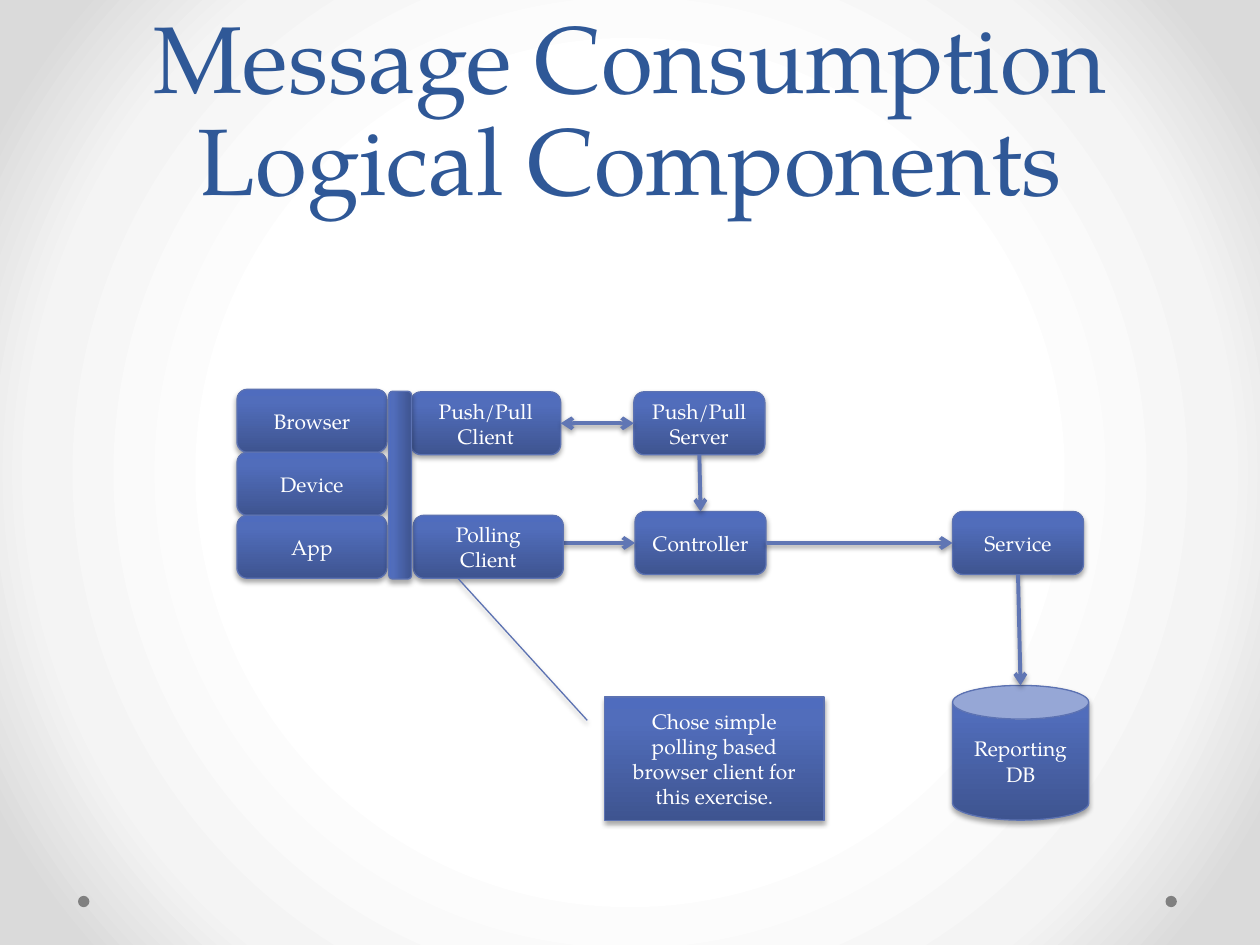
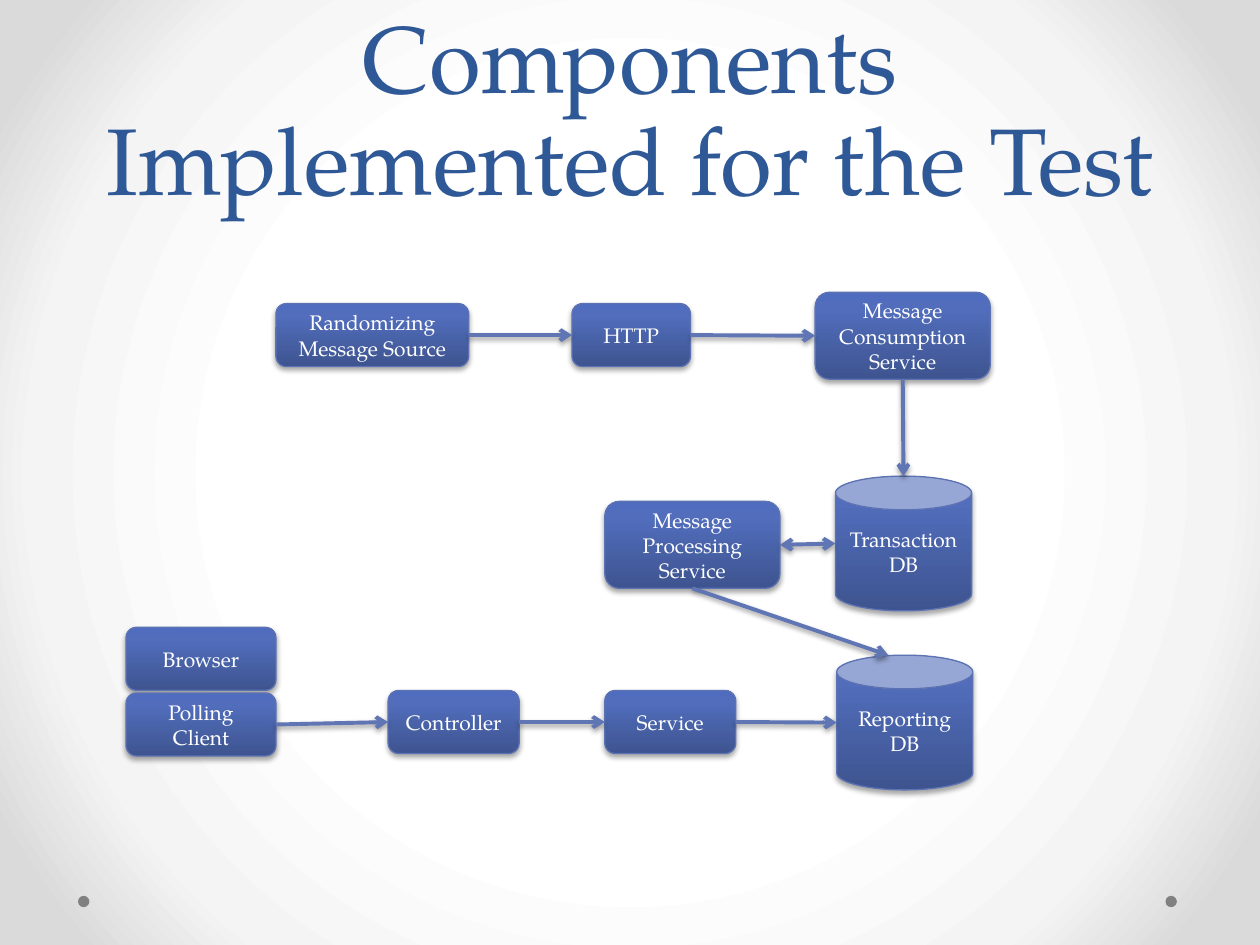
from pptx import Presentation
from pptx.dml.color import RGBColor
from pptx.enum import shapes as sh, text as tx
from pptx.oxml import parse_xml
from pptx.oxml.ns import nsdecls, qn
from pptx.util import Pt

FONT = "TeX Gyre Pagella"
NAVY = RGBColor(0x2F, 0x58, 0x97)
EDGE = RGBColor(0x5C, 0x72, 0xB2)
ARROW = RGBColor(0x60, 0x76, 0xB4)
GREY = RGBColor(0x80, 0x80, 0x80)
WHITE = RGBColor(0xFF, 0xFF, 0xFF)
BLACK = RGBColor(0, 0, 0)
BACK = [(50, WHITE), (76, RGBColor(0xF4, 0xF4, 0xF4)),
        (92, RGBColor(0xDA, 0xDA, 0xDA))]
BODY = [(0, RGBColor(0x3E, 0x54, 0x90)), (80, RGBColor(0x51, 0x6D, 0xBB)),
        (100, RGBColor(0x4F, 0x6C, 0xBE))]
UP = '<a:lin ang="16200000" scaled="0"/>'
ROUND = ('<a:path path="circle"><a:fillToRect l="50000" t="50000" '
         'r="50000" b="50000"/></a:path>')

KIND = sh.MSO_SHAPE
NODE = 74.9, 36
CLIENT = 85.7, 36
DRUM = 77.8, 77
JOB = 100.1, 49.7


def blend(props, stops, way):
    """Swap the solid fill in props for a gradient."""
    marks = "".join(f'<a:gs pos="{pos * 1000}"><a:srgbClr val="{color}"/></a:gs>'
                    for pos, color in stops)
    grad = parse_xml(f'<a:gradFill {nsdecls("a")} rotWithShape="1">'
                     f'<a:gsLst>{marks}</a:gsLst>{way}</a:gradFill>')
    props.replace(props.find(qn("a:solidFill")), grad)


def shade(props, alpha, drop):
    props.append(parse_xml(
        f'<a:effectLst {nsdecls("a")}><a:outerShdw blurRad="{Pt(3.1)}" '
        f'dist="{Pt(drop)}" dir="5400000" rotWithShape="0">'
        f'<a:srgbClr val="{BLACK}"><a:alpha val="{alpha * 1000}"/></a:srgbClr>'
        '</a:outerShdw></a:effectLst>'))


def write(frame, words, size=12, color=WHITE, anchor=tx.MSO_ANCHOR.MIDDLE,
          pitch=None):
    frame.word_wrap = True
    frame.auto_size = tx.MSO_AUTO_SIZE.NONE
    frame.vertical_anchor = anchor
    para = frame.paragraphs[0]
    para.alignment = tx.PP_ALIGN.CENTER
    para.line_spacing = pitch
    run = para.add_run()
    run.text = words
    run.font.name, run.font.size = FONT, Pt(size)
    run.font.color.rgb = color


def block(slide, origin, at, size, words="", kind=KIND.ROUNDED_RECTANGLE):
    """Add a shaded box at an offset from the origin."""
    left, top = (Pt(o + a) for o, a in zip(origin, at))
    box = slide.shapes.add_shape(kind, left, top, *map(Pt, size))
    box.fill.solid()
    box.line.color.rgb, box.line.width = EDGE, Pt(0.75)
    props = box.element.spPr
    blend(props, BODY, UP)
    shade(props, 35, 1.8)
    if words:
        write(box.text_frame, words)
    return box


def side(box, name):
    """Give the middle point of one side of a box."""
    dx, dy = {"top": (0.5, 0), "left": (0, 0.5),
              "bottom": (0.5, 1), "right": (1, 0.5)}[name]
    return int(box.left + dx * box.width), int(box.top + dy * box.height)


def link(slide, start, end, both=False):
    line = slide.shapes.add_connector(sh.MSO_CONNECTOR.STRAIGHT, *start, *end)
    line.line.color.rgb, line.line.width = ARROW, Pt(2.25)
    props = line.element.spPr
    for tip in ["headEnd"] * both + ["tailEnd"]:
        props.find(qn("a:ln")).append(
            parse_xml(f'<a:{tip} {nsdecls("a")} type="arrow"/>'))
    shade(props, 38, 1.6)


def across(slide, *boxes):
    """Link each box to the next one on its right."""
    for one, two in zip(boxes, boxes[1:]):
        link(slide, side(one, "right"), side(two, "left"))


def down(slide, one, two):
    link(slide, side(one, "bottom"), side(two, "top"))


def theme(deck, slide):
    """Give the master its background and the two dots at the foot."""
    master = deck.slide_master
    master.background.fill.solid()
    blend(next(master.element.iter(qn("p:bgPr"))), BACK, ROUND)
    for left in (44.6, 666):
        dot = slide.shapes.add_shape(KIND.OVAL, Pt(left), Pt(511.9), Pt(6.5), Pt(6.5))
        dot.shadow.inherit = False
        dot.fill.solid()
        dot.fill.fore_color.rgb = GREY
        dot.line.fill.background()
        master.shapes.element.append(dot.element)


def page(deck, words):
    slide = deck.slides.add_slide(deck.slide_layouts[5])
    head = slide.shapes.title
    head.left, head.top, head.width, head.height = map(Pt, (36, 0, 648, 126))
    write(head.text_frame, words, size=54, color=NAVY,
          anchor=tx.MSO_ANCHOR.BOTTOM, pitch=Pt(58))
    return slide


def logic(slide, origin):
    """Draw the logical components of message consumption."""
    push = block(slide, origin, (99.3, 1.4), CLIENT, "Push/Pull Client")
    server = block(slide, origin, (226.8, 1.4), NODE, "Push/Pull Server")
    control = block(slide, origin, (227.5, 69.8), NODE, "Controller")
    service = block(slide, origin, (408.9, 69.8), NODE, "Service")
    store = block(slide, origin, (408.9, 169.2), DRUM, "Reporting DB", KIND.CAN)
    end = side(control, "left")
    link(slide, (end[0] - Pt(62.6), end[1]), end)
    across(slide, control, service)
    link(slide, side(server, "left"), side(push, "right"), both=True)
    for row, name in enumerate(("Browser", "Device", "App")):
        block(slide, origin, (0, row * CLIENT[1]), CLIENT, name)
    block(slide, origin, (100.8, 72), CLIENT, "Polling Client")
    down(slide, server, control)
    bar = block(slide, origin, (39.6, 48.2), (107.3, 13))
    bar.rotation = 270
    note = block(slide, origin, (210.2, 175.7), (125.3, 70.6),
                 "Chose simple polling based browser client for this exercise.",
                 KIND.LINE_CALLOUT_1)
    for i, ratio in enumerate((0.19, -0.08, -0.96, -0.67)):
        note.adjustments[i] = ratio
    down(slide, service, store)


def built(slide, origin):
    """Draw the components implemented for the test."""
    source = block(slide, origin, (85.7, 6.5), (110.2, 36), "Randomizing Message Source")
    http = block(slide, origin, (254.9, 6.5), (67.7, 36), "HTTP")
    consume = block(slide, origin, (393.8, 0), JOB, "Message Consumption Service")
    trade = block(slide, origin, (405.4, 105.1), DRUM, "Transaction DB", KIND.CAN)
    process = block(slide, origin, (273.6, 119.5), JOB, "Message Processing Service")
    block(slide, origin, (0, 191.5), CLIENT, "Browser")
    poll = block(slide, origin, (0, 229), CLIENT, "Polling Client")
    control = block(slide, origin, (149.8, 227.6), NODE, "Controller")
    service = block(slide, origin, (273.6, 227.6), NODE, "Service")
    report = block(slide, origin, (406.1, 207.4), DRUM, "Reporting DB", KIND.CAN)
    across(slide, source, http, consume)
    across(slide, poll, control, service, report)
    down(slide, consume, trade)
    link(slide, side(process, "right"), side(trade, "left"), both=True)
    x, y = side(report, "top")
    link(slide, side(process, "bottom"), (x - Pt(9.4), y))


def main():
    deck = Presentation()
    deck.slide_width, deck.slide_height = Pt(720), Pt(540)
    first = page(deck, "Message Consumption Logical Components")
    theme(deck, first)
    logic(first, (135.4, 222.5))
    built(page(deck, "Components Implemented for the Test"), (72, 167))
    deck.save("out.pptx")


if __name__ == "__main__":
    main()
